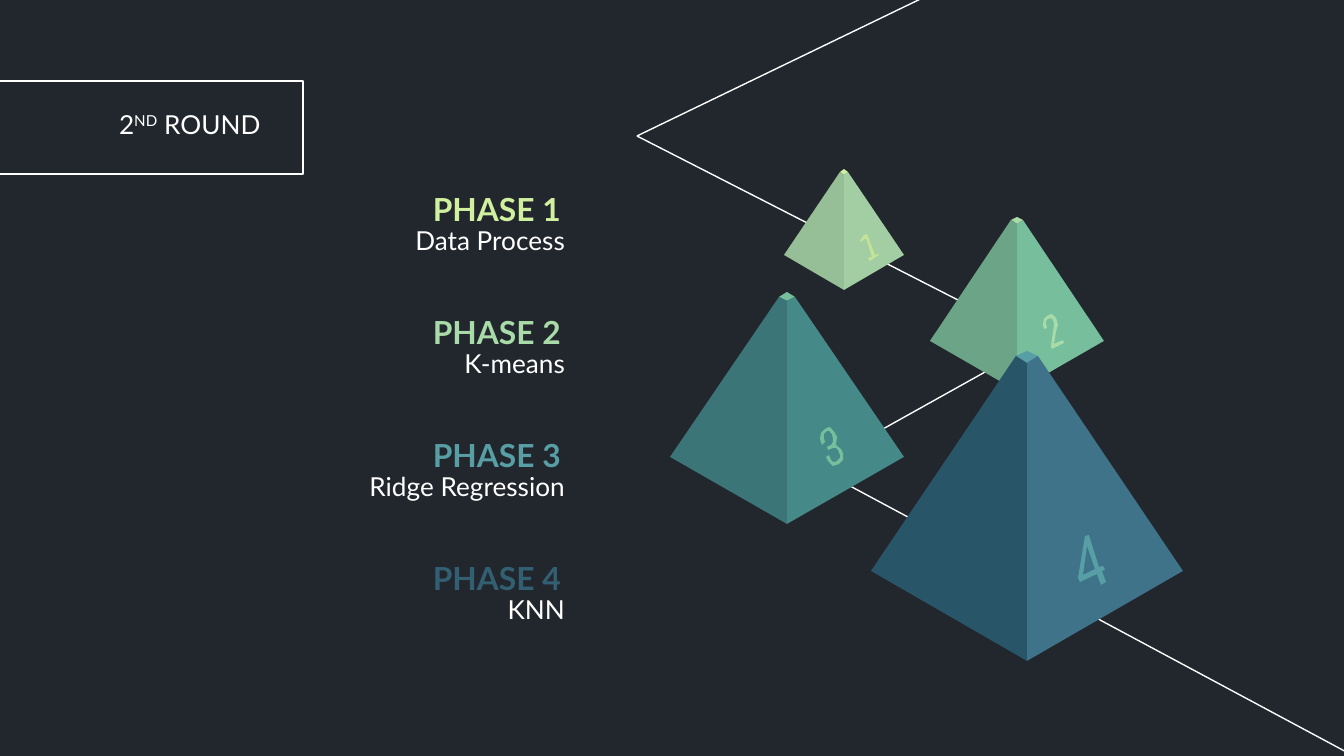
"""Build the "2nd round" slide: four phases beside a path of growing pyramids."""
from dataclasses import dataclass

from lxml.etree import SubElement
from pptx import Presentation
from pptx.dml.color import RGBColor
from pptx.enum.shapes import MSO_CONNECTOR as Connector, MSO_SHAPE as Preset
from pptx.enum.text import MSO_ANCHOR as Anchor, MSO_AUTO_SIZE as AutoSize, PP_ALIGN as Align
from pptx.oxml.ns import qn
from pptx.util import Emu, Pt


@dataclass(frozen=True)
class Theme:
    font: str = "Lato"
    background: str = "22262D"
    ink: str = "FFFFFF"
    heading_size: int = 17
    text_size: int = 14
    line_width: float = 0.75


THEME = Theme()
SCALE = 914400 / 134.4
SLIDE_SIZE = (1344, 756)
INSET = 13

ROUND_PARTS = ("2", "ND", " ROUND")
ROUND_BOX = (106, 55, 184, 138)
ROUND_FRAME = (-13, 81, 316, 93)

PHASES = [
    ("PHASE 1", "Data Process", "D0F09F"),
    ("PHASE 2", "K-means", "A8DBA7"),
    ("PHASE 3", "Ridge Regression", "589EA5"),
    ("PHASE 4", "KNN", "335F72"),
]
PHASE_TOP, PHASE_PITCH, DETAIL_DROP = 177, 123, 34

PATH_LINES = [
    ((937, -9), (637, 136)),
    ((637, 136), (1046, 345)),
    ((1030, 347), (788, 482)),
    ((781, 449), (1546, 859)),
]

PYRAMIDS = [
    dict(center=844, cap_half=4, base_half=60, cap_ys=(169, 172, 175), base_ys=(255, 290),
         cap="D0F09F", right="A3CEA3", left="96BE97", digit="C5E397"),
    dict(center=1017, cap_half=6, base_half=87, cap_ys=(217, 220, 224), base_ys=(341, 391),
         cap="A8DBA7", right="77BE9C", left="6CA487", digit="A8DBA7"),
    dict(center=787, cap_half=8, base_half=117, cap_ys=(292, 297, 301), base_ys=(457, 524),
         cap="77BE9C", right="458989", left="3B7577", digit="77BE9C"),
    dict(center=1027, cap_half=11, base_half=156, cap_ys=(351, 356, 363), base_ys=(571, 661),
         cap="589EA5", right="3E738A", left="295568", digit="589EA5"),
]

DIGITS = [
    [[(867, 234), (864, 235), (860, 241), (861, 242), (866, 238), (872, 257),
      (868, 258), (870, 261), (879, 255), (878, 254), (875, 255)]],
    [[(1051, 314), (1047, 316), (1044, 319), (1043, 325), (1044, 329), (1047, 328),
      (1046, 324), (1046, 321), (1048, 319), (1051, 318), (1053, 320), (1054, 323),
      (1054, 327), (1053, 331), (1051, 347), (1052, 349), (1064, 343), (1063, 340),
      (1054, 344), (1056, 332), (1058, 325), (1057, 321), (1056, 318), (1053, 315)]],
    [[(829, 427), (825, 429), (821, 433), (820, 439), (822, 445), (825, 442), (824, 438),
      (824, 434), (827, 431), (829, 431), (832, 434), (833, 439), (833, 442), (831, 445),
      (827, 447), (828, 450), (833, 448), (836, 448), (838, 450), (840, 455), (840, 458),
      (837, 461), (835, 462), (833, 462), (831, 460), (829, 455), (826, 457), (828, 461),
      (833, 466), (839, 464), (843, 460), (843, 453), (841, 449), (836, 445), (837, 437),
      (835, 433), (831, 428)]],
    [[(1089, 535), (1085, 536), (1078, 578), (1080, 582), (1097, 574), (1101, 585),
      (1106, 582), (1102, 571), (1105, 570), (1103, 566), (1099, 567)],
     [(1087, 546), (1095, 569), (1083, 575)]],
]


def px(length):
    """Turn px into EMU."""
    return Emu(round(length * SCALE))


def rgb(color):
    """Turn a hex string into a colour."""
    return RGBColor.from_string(color)


def write(shape, box, *parts, size=THEME.text_size, color=THEME.ink, bold=False,
          align=Align.RIGHT, anchor=Anchor.TOP):
    """Place a shape and fill it with runs, every second one raised."""
    shape.left, shape.top, shape.width, shape.height = map(px, box)
    frame = shape.text_frame
    frame.word_wrap, frame.auto_size, frame.vertical_anchor = True, AutoSize.NONE, anchor
    frame.margin_left = frame.margin_right = frame.margin_top = frame.margin_bottom = px(INSET)
    paragraph = frame.paragraphs[0]
    paragraph.alignment, paragraph.space_before, paragraph.line_spacing = align, Pt(0), 1.0
    for part in parts:
        run = paragraph.add_run()
        run.text = part
        run.font.name, run.font.size, run.font.bold = THEME.font, Pt(size), bold
        run.font.color.rgb = rgb(color)
    for raised in shape.element.findall(".//" + qn("a:rPr"))[1::2]:
        raised.set("baseline", "30000")
    properties = shape.element.find(".//" + qn("a:pPr"))
    properties.set("marL", "0")
    properties.set("indent", "0")
    SubElement(properties, qn("a:buNone"))


def draw_outline(shapes, contours, color):
    """Draw a filled outline from one or more closed contours."""
    first, *others = contours
    builder = shapes.build_freeform(*first[0], scale=SCALE)
    builder.add_line_segments(first[1:], close=True)
    for contour in others:
        builder.move_to(*contour[0])
        builder.add_line_segments(contour[1:], close=True)
    outline = builder.convert_to_shape()
    outline.shadow.inherit = False
    outline.fill.solid()
    outline.fill.fore_color.rgb = rgb(color)
    outline.line.fill.background()


def draw_pyramid(shapes, center, cap_half, base_half, cap_ys, base_ys, cap, right, left,
                 digit, digit_contours):
    """Draw the cap, both faces and the digit of a pyramid."""
    top, shoulder, front = cap_ys
    corner, bottom = base_ys
    cap_points = [(center, top), (center - cap_half, shoulder), (center, front),
                  (center + cap_half, shoulder)]
    draw_outline(shapes, [cap_points], cap)
    for side, color in ((1, right), (-1, left)):
        face = [(center + side * cap_half, shoulder), (center, front), (center, bottom),
                (center + side * base_half, corner)]
        draw_outline(shapes, [face], color)
    draw_outline(shapes, digit_contours, digit)


def style_line(line):
    """Give a line the theme's colour and width."""
    line.color.rgb = rgb(THEME.ink)
    line.width = Pt(THEME.line_width)


def main():
    """Build and save the slide."""
    deck = Presentation()
    deck.slide_width, deck.slide_height = map(px, SLIDE_SIZE)
    slide = deck.slides.add_slide(deck.slide_layouts.get_by_name("Comparison"))
    shapes = slide.shapes
    slide.background.fill.solid()
    slide.background.fill.fore_color.rgb = rgb(THEME.background)

    round_frame = shapes.add_shape(Preset.RECTANGLE, *map(px, ROUND_FRAME))
    round_frame.shadow.inherit = False
    round_frame.fill.background()
    style_line(round_frame.line)

    round_title, *details = slide.placeholders
    write(round_title, ROUND_BOX, *ROUND_PARTS, align=Align.LEFT, anchor=Anchor.MIDDLE)
    for index, (detail, (phase, task, color)) in enumerate(zip(details, PHASES)):
        top = PHASE_TOP + index * PHASE_PITCH
        heading = shapes.add_textbox(0, 0, 0, 0)
        write(heading, (344, top, 230, 38), phase, size=THEME.heading_size, color=color, bold=True)
        write(detail, (251, top + DETAIL_DROP, 327, 62), task)

    for start, end in PATH_LINES:
        path_line = shapes.add_connector(Connector.STRAIGHT, *map(px, start + end))
        style_line(path_line.line)
        SubElement(path_line.element.spPr, qn("a:effectLst"))

    for pyramid, digit_contours in zip(PYRAMIDS, DIGITS):
        draw_pyramid(shapes, **pyramid, digit_contours=digit_contours)

    deck.save("out.pptx")


if __name__ == "__main__":
    main()
